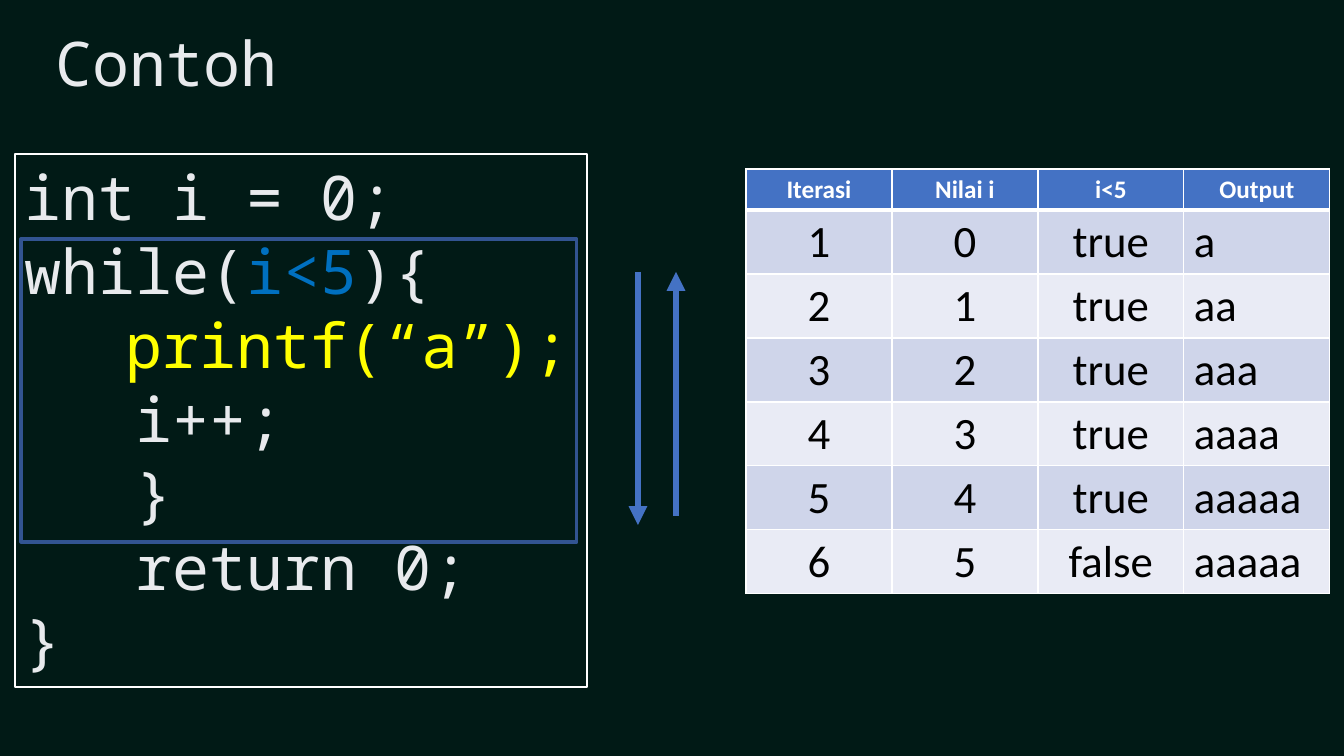
"""Build a slide that traces a while loop beside its code."""
from lxml import etree
from pptx import Presentation
from pptx.dml.color import RGBColor
from pptx.enum.shapes import MSO_CONNECTOR, MSO_SHAPE
from pptx.enum.text import PP_ALIGN
from pptx.oxml.ns import qn
from pptx.util import Pt

RECT = MSO_SHAPE.RECTANGLE
LINE = MSO_CONNECTOR.STRAIGHT
MID = PP_ALIGN.CENTER
LEFT = PP_ALIGN.LEFT
MONO, SANS = "Noto Sans Mono", "Calibri"
PALE, WHITE, BLUE = "E8EAED", "FFFFFF", "4472C4"
SCALE = 914400 / 100.8


def px(*nums):
    return [round(n * SCALE) for n in nums]


def paint(color, value):
    color.rgb = RGBColor.from_string(value)


prs = Presentation()
prs.slide_width, prs.slide_height = px(1344, 756)
slide = prs.slides.add_slide(prs.slide_layouts[6])
shapes = slide.shapes
slide.background.fill.solid()
paint(slide.background.fill.fore_color, "011A16")

title = [(0, [("Contoh", PALE)])]
code = [
    (0, [("int i = 0;", PALE)]),
    (0, [("while(", PALE), ("i<5", "0070C0"), ("){", PALE)]),
    (101, [("printf(“a”);", "FFFF00")]),
    (111, [("i++;", PALE)]),
    (111, [("}", PALE)]),
    (111, [("return 0;", PALE)]),
    (0, [("}", PALE)]),
]
for spot, lines, edge in [((46, 20, 489, 85), title, None),
                          ((15, 154, 572, 533), code, WHITE)]:
    box = shapes.add_textbox(*px(*spot))
    if edge:
        paint(box.line.color, edge)
        box.line.width = Pt(1)
    frame = box.text_frame
    frame.word_wrap = True
    for i, (indent, runs) in enumerate(lines):
        para = frame.add_paragraph() if i else frame.paragraphs[0]
        para._p.get_or_add_pPr().set("marL", str(px(indent)[0]))
        for text, hue in runs:
            run = para.add_run()
            run.text = text
            run.font.name, run.font.size = MONO, Pt(44)
            paint(run.font.color, hue)

rows = [("Iterasi", "Nilai i", "i<5", "Output")]
for i in range(6):
    rows.append((str(i + 1), str(i), "true" if i < 5 else "false",
                 "a" * min(i + 1, 5)))
table = shapes.add_table(7, 4, *px(746, 169, 584, 425)).table
for col in table.columns:
    col.width = px(146)[0]
for r, row in enumerate(rows):
    head = r == 0
    table.rows[r].height = px(41 if head else 64)[0]
    for c, text in enumerate(row):
        cell = table.cell(r, c)
        para = cell.text_frame.paragraphs[0]
        para.alignment = MID if head or c < 3 else LEFT
        run = para.add_run()
        run.text = text
        font = run.font
        font.name, font.size, font.bold = SANS, Pt(18 if head else 32), head
        paint(font.color, WHITE if head else "000000")
        props = cell._tc.get_or_add_tcPr()
        for side in "LRTB":
            thick = (r, side) in [(0, "B"), (1, "T")]
            edge = etree.SubElement(props, qn("a:ln" + side),
                                    w=str(Pt(3 if thick else 1)))
            fill = etree.SubElement(edge, qn("a:solidFill"))
            etree.SubElement(fill, qn("a:srgbClr"), val=WHITE)
        cell.fill.solid()
        paint(cell.fill.fore_color,
              BLUE if head else "CFD5EA" if r % 2 else "E9EBF5")

for x, start, end in [(638, 272, 525), (676, 516, 272)]:
    arrow = shapes.add_connector(LINE, *px(x, start, x, end))
    paint(arrow.line.color, BLUE)
    arrow.line.width = Pt(4.5)
    etree.SubElement(arrow.line._get_or_add_ln(), qn("a:tailEnd"),
                     type="triangle")
    etree.SubElement(arrow._element.spPr, qn("a:effectLst"))

loop = shapes.add_shape(RECT, *px(21, 239, 556, 303))
loop.shadow.inherit = False
loop.fill.background()
paint(loop.line.color, "325491")
loop.line.width = Pt(2.25)

prs.save("out.pptx")
